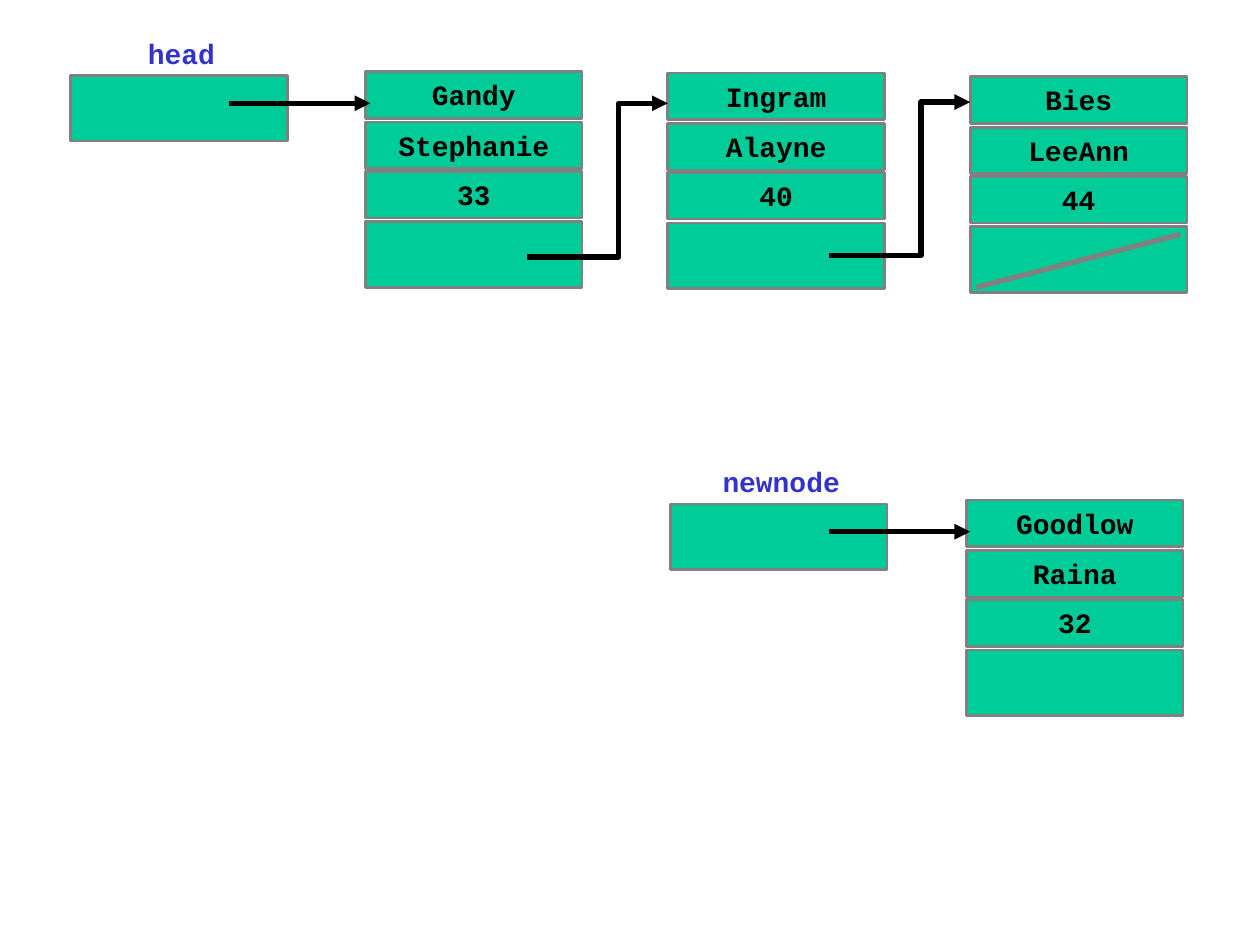
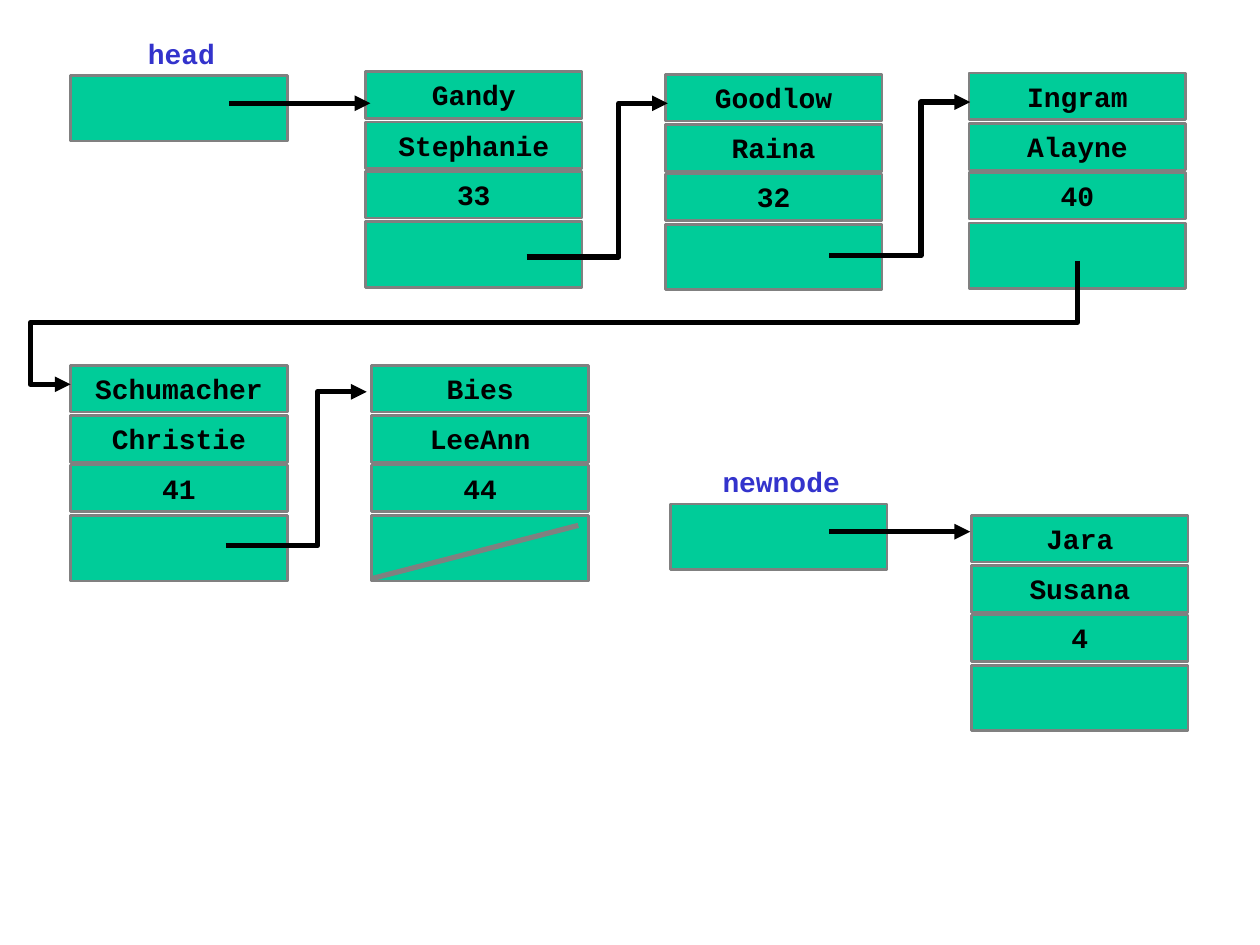
"""Build two slides that show a new node being added to a sorted linked list."""
from dataclasses import dataclass
from typing import Any

import pptx
import pptx.dml.color
import pptx.enum.shapes
import pptx.enum.text
import pptx.oxml.ns
import pptx.util
from lxml import etree

Point = tuple[int, int]

EMU_PER_PX = 9144
SLIDE_WIDTH, SLIDE_HEIGHT = 1000, 750
COLORS = {"cell": "00CC99", "border": "808080", "value": "000000", "label": "3333CC", "link": "000000"}
FONT = "Courier New"
CELL_WIDTH, VALUE_HEIGHT, POINTER_HEIGHT = 172, 37, 52
POINTER_OFFSET = 119
LABEL_WIDTH, LABEL_RISE = 176, 36
ARROW_DX, ARROW_DY, ARROW_LENGTH = 126, 22, 112
STEP_TURN, STEP_WIDTH, STEP_RISE = 73, 112, 122
CELL_LINE, LINK_LINE = 1.5, 3


@dataclass(frozen=True)
class Node:
    """A list node with its values and the top left corner it is drawn at."""
    values: tuple[str, str, str]
    left: int
    top: int


@dataclass(frozen=True)
class Variable:
    """A named pointer variable and the top left corner of its cell."""
    name: str
    left: int
    top: int


@dataclass(frozen=True)
class Scene:
    """The parts of one slide that differ from the other."""
    nodes: tuple[Node, ...]
    links: tuple[tuple[Point, ...], ...]
    null_slash: tuple[Point, Point]


def px(length: float) -> int:
    """Turn px into EMU."""
    return pptx.util.Emu(round(length * EMU_PER_PX))


def rgb(key: str) -> pptx.dml.color.RGBColor:
    """Look up a named colour."""
    return pptx.dml.color.RGBColor.from_string(COLORS[key])


def step_link(left: int, bottom: int) -> tuple[Point, ...]:
    """Give the corners of a link that steps up to the next node."""
    turn, top = left + STEP_TURN, bottom - STEP_RISE
    return (left, bottom), (turn, bottom), (turn, top), (left + STEP_WIDTH, top)


def write(shape: Any, text: str, *, color: str, size: int = 16, bold: bool = True) -> None:
    """Put one centred line of text into a shape."""
    frame = shape.text_frame
    frame.word_wrap = True
    frame.auto_size = pptx.enum.text.MSO_AUTO_SIZE.SHAPE_TO_FIT_TEXT
    frame.vertical_anchor = pptx.enum.text.MSO_ANCHOR.TOP
    paragraph = frame.paragraphs[0]
    paragraph.alignment = pptx.enum.text.PP_ALIGN.CENTER
    run = paragraph.add_run()
    run.text = text
    run.font.name = FONT
    run.font.size = pptx.util.Pt(size)
    run.font.bold = bold
    run.font.color.rgb = rgb(color)


def style_line(shape: Any, color: str, width: float, arrow: bool = False) -> None:
    """Set the line of a shape or connector, with an arrowhead if asked."""
    shape.line.color.rgb = rgb(color)
    shape.line.width = pptx.util.Pt(width)
    if arrow:
        line = shape.line._get_or_add_ln()
        etree.SubElement(line, pptx.oxml.ns.qn("a:tailEnd"), type="triangle")


def draw_cell(shapes: Any, left: int, top: int, height: int, text: str = "") -> None:
    """Draw one cell, holding a value or left empty for a pointer."""
    cell = shapes.add_shape(pptx.enum.shapes.MSO_SHAPE.RECTANGLE,
                            px(left), px(top), px(CELL_WIDTH), px(height))
    cell.shadow.inherit = False
    cell.fill.solid()
    cell.fill.fore_color.rgb = rgb("cell")
    style_line(cell, "border", CELL_LINE)
    if text:
        write(cell, text, color="value")


def draw_node(shapes: Any, node: Node) -> None:
    """Draw a node as a group of value cells above a pointer cell."""
    cells = shapes.add_group_shape().shapes
    for row, value in enumerate(node.values):
        top = node.top + round(row * POINTER_OFFSET / len(node.values))
        draw_cell(cells, node.left, top, VALUE_HEIGHT, value)
    draw_cell(cells, node.left, node.top + POINTER_OFFSET, POINTER_HEIGHT)


def draw_straight(shapes: Any, start: Point, end: Point, color: str, arrow: bool = False) -> None:
    """Draw a straight line between two points."""
    line = shapes.add_connector(pptx.enum.shapes.MSO_CONNECTOR.STRAIGHT,
                                *(px(value) for value in start + end))
    style_line(line, color, LINK_LINE, arrow)
    etree.SubElement(line._element.spPr, pptx.oxml.ns.qn("a:effectLst"))


def draw_link(shapes: Any, corners: tuple[Point, ...]) -> None:
    """Draw a link with right-angled turns and an arrowhead."""
    builder = shapes.build_freeform(*corners[0], scale=EMU_PER_PX)
    builder.add_line_segments(corners[1:], close=False)
    link = builder.convert_to_shape()
    link.shadow.inherit = False
    link.fill.background()
    style_line(link, "link", LINK_LINE, arrow=True)


def draw_variable(shapes: Any, variable: Variable) -> None:
    """Draw a variable's label, its cell and the arrow to its node."""
    draw_cell(shapes, variable.left, variable.top, POINTER_HEIGHT)
    label = shapes.add_textbox(px(variable.left), px(variable.top - LABEL_RISE),
                               px(LABEL_WIDTH), px(VALUE_HEIGHT))
    write(label, variable.name, color="label")
    start = (variable.left + ARROW_DX, variable.top + ARROW_DY)
    draw_straight(shapes, start, (start[0] + ARROW_LENGTH, start[1]), "link", arrow=True)


def draw_scene(deck: Any, scene: Scene) -> None:
    """Add a slide and draw the whole list on it."""
    shapes = deck.slides.add_slide(deck.slide_layouts[6]).shapes
    for node in scene.nodes:
        draw_node(shapes, node)
    for variable in VARIABLES:
        draw_variable(shapes, variable)
    for corners in TOP_LINKS + scene.links:
        draw_link(shapes, corners)
    draw_straight(shapes, *scene.null_slash, "border")


GANDY = ("Gandy", "Stephanie", "33")
GOODLOW = ("Goodlow", "Raina", "32")
INGRAM = ("Ingram", "Alayne", "40")
BIES = ("Bies", "LeeAnn", "44")
SCHUMACHER = ("Schumacher", "Christie", "41")
JARA = ("Jara", "Susana", "4")

VARIABLES = (Variable("head", 56, 60), Variable("newnode", 532, 400))
TOP_LINKS = (step_link(418, 204), step_link(658, 203))
SCENES = (
    Scene(
        nodes=(Node(GANDY, 290, 57), Node(INGRAM, 530, 58),
               Node(BIES, 770, 61), Node(GOODLOW, 767, 397)),
        links=(),
        null_slash=((775, 228), (937, 186)),
    ),
    Scene(
        nodes=(Node(GANDY, 290, 57), Node(GOODLOW, 528, 59), Node(INGRAM, 769, 58),
               Node(SCHUMACHER, 56, 290), Node(BIES, 295, 290), Node(JARA, 771, 409)),
        links=(((855, 207), (855, 256), (24, 256), (24, 305), (56, 305)),
               step_link(179, 433)),
        null_slash=((296, 459), (459, 417)),
    ),
)


def main() -> None:
    """Build and save the deck."""
    deck = pptx.Presentation()
    deck.slide_width, deck.slide_height = px(SLIDE_WIDTH), px(SLIDE_HEIGHT)
    for scene in SCENES:
        draw_scene(deck, scene)
    deck.save("out.pptx")


if __name__ == "__main__":
    main()
